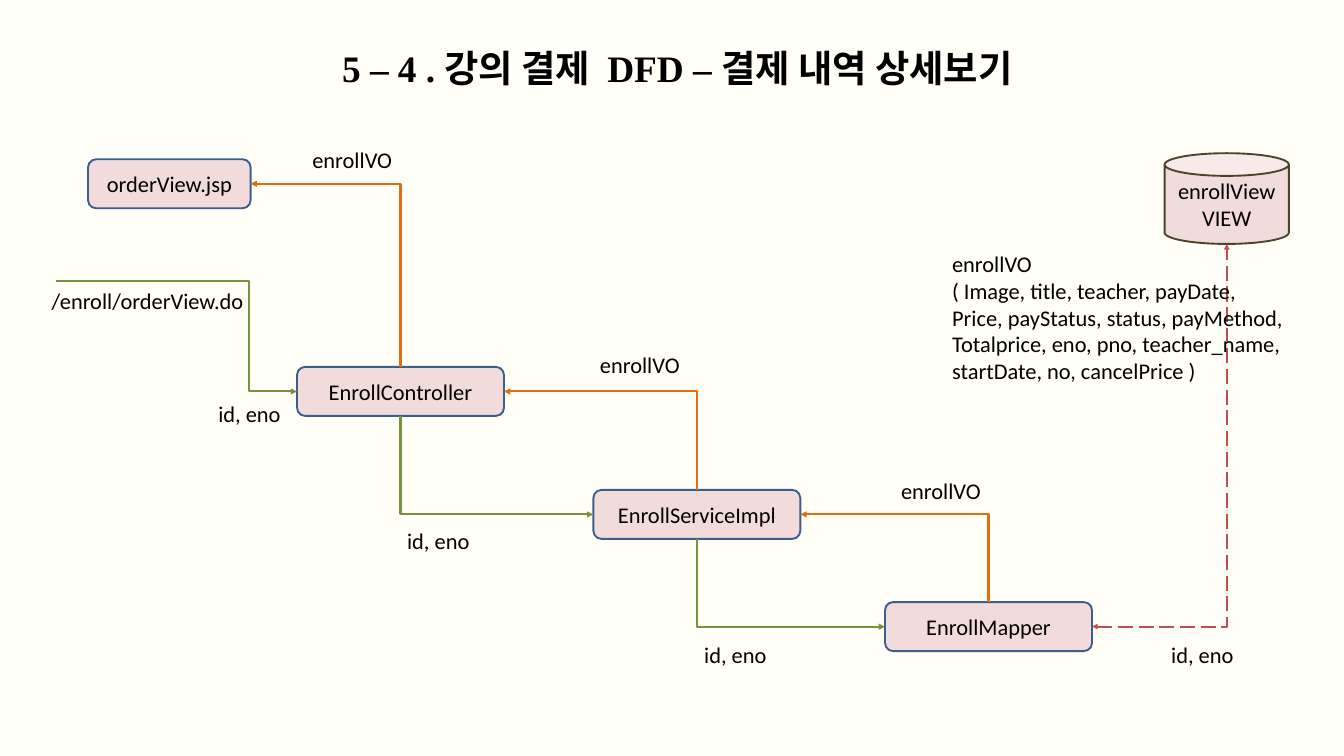
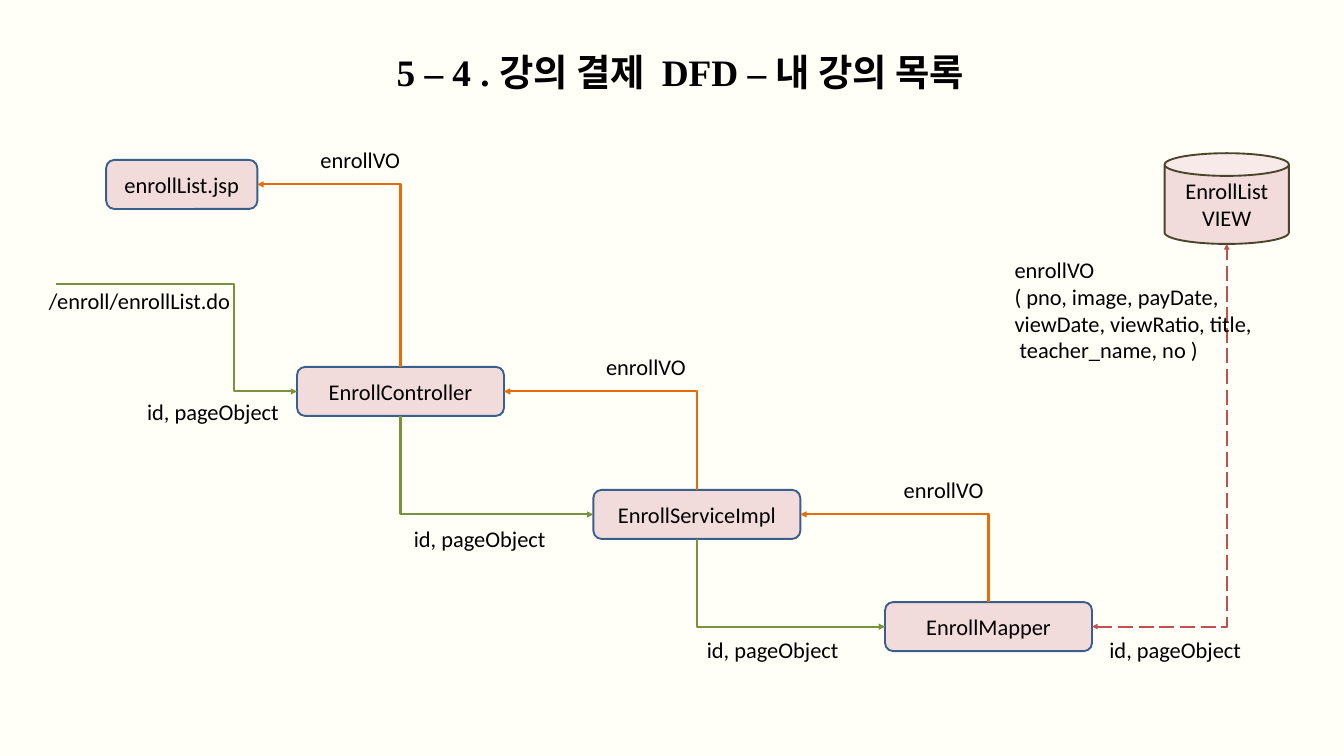
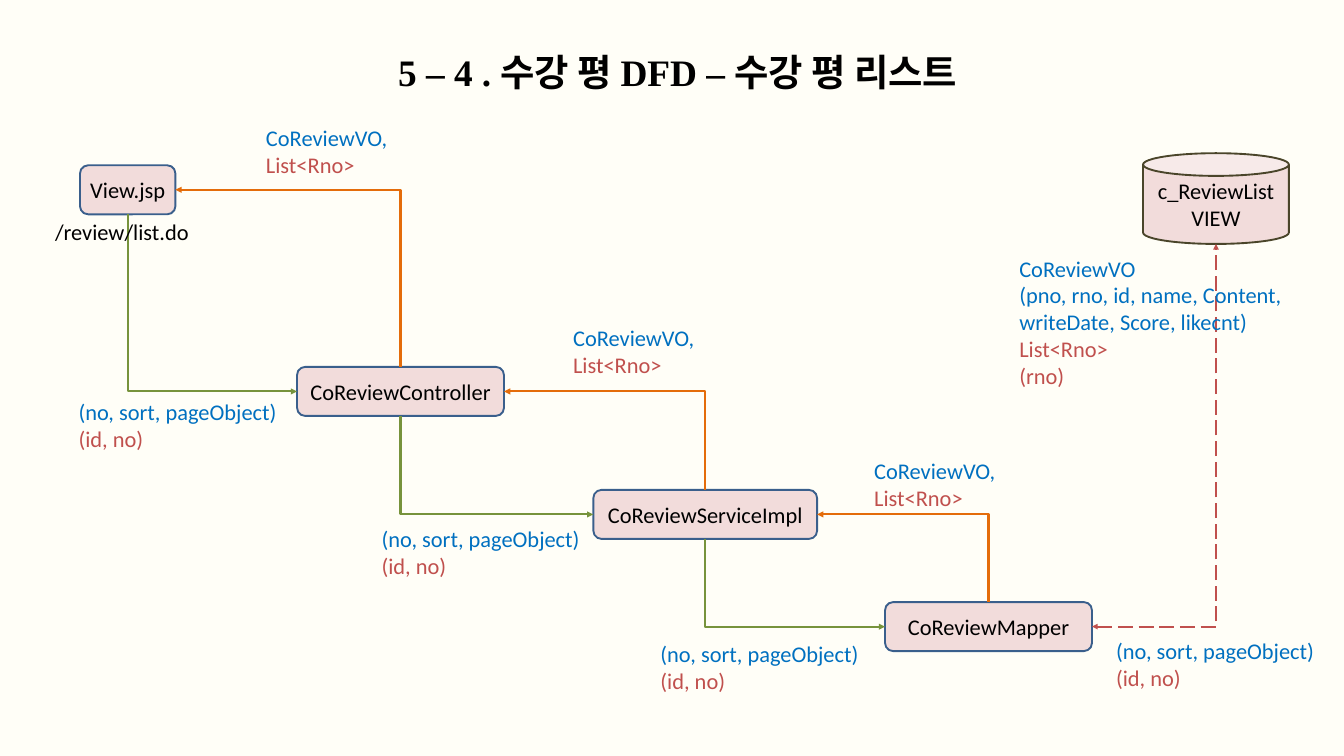
from pptx import Presentation
from pptx.dml.color import RGBColor
from pptx.enum.dml import MSO_LINE_DASH_STYLE as Dash
from pptx.enum.shapes import MSO_CONNECTOR as Connector, MSO_SHAPE as Preset
from pptx.enum.text import MSO_ANCHOR as Anchor, MSO_AUTO_SIZE as AutoSize, PP_ALIGN as Align
from pptx.oxml.ns import qn
from pptx.util import Inches, Pt

PAPER, PINK, NAVY, BROWN = "FFFEF7", "F2DCDB", "3A5F8C", "4A452A"
BLACK, BLUE, RED, GREEN, ORANGE = "000000", "0070C0", "C0504D", "77933C", "E46C0A"
TITLE_FONT = {"name": "Times New Roman", "size": Pt(40), "bold": True}
BODY_FONT = {"name": "Calibri", "size": Pt(24)}
TOP, LEFT, BOTTOM, RIGHT = range(4)
CAN_BOTTOM = 3
BOX_HEIGHT = 0.73

# Labels: each text is a list of (line, colour); places are (left, top, width).
ENROLL_RESULT = [("enrollVO", BLACK)]
REVIEW_RESULT = [("CoReviewVO,", BLUE), ("List<Rno>", RED)]

FLOWS = [
    {
        "title": ("5 – 4 . 강의 결제  DFD – 결제 내역 상세보기", 4.33, 0.62, 11.5),
        "view": ("orderView.jsp", 1.31, 2.37, 2.42),
        "layers": [("EnrollController", 3.08), ("EnrollServiceImpl", 3.08), ("EnrollMapper", 3.08)],
        "database": ("enrollView", 1.85),
        "entry": (0.83, 4.18, 0.8),
        "address": ("/enroll/orderView.do", 0.67, 4.23, 3.08),
        "arguments": [("id, eno", BLACK)],
        "argument_places": [(3.15, 5.9, 1.14), (5.96, 7.8, 1.14), (10.38, 9.49, 1.14), (17.33, 9.49, 1.14)],
        "result": ENROLL_RESULT,
        "result_places": [(4.55, 2.12, 1.4), (8.83, 5.17, 1.4), (13.31, 7.05, 1.4)],
        "fields": [
            ("enrollVO", BLACK),
            ("( Image, title, teacher, payDate,", BLACK),
            ("Price, payStatus, status, payMethod,", BLACK),
            ("Totalprice, eno, pno, teacher_name,", BLACK),
            ("startDate, no, cancelPrice )", BLACK),
        ],
        "fields_place": (14.07, 3.67, 5.17),
    },
    {
        "title": ("5 – 4 . 강의 결제  DFD – 내 강의 목록", 5.5, 0.68, 9.25),
        "view": ("enrollList.jsp", 1.58, 2.38, 2.25),
        "layers": [("EnrollController", 3.08), ("EnrollServiceImpl", 3.08), ("EnrollMapper", 3.08)],
        "database": ("EnrollList", 1.85),
        "entry": (0.83, 4.22, 0.74),
        "address": ("/enroll/enrollList.do", 0.63, 4.22, 2.92),
        "arguments": [("id, pageObject", BLACK)],
        "argument_places": [(2.09, 5.87, 2.18), (6.06, 7.77, 2.18), (10.42, 9.42, 2.18), (16.41, 9.42, 2.18)],
        "result": ENROLL_RESULT,
        "result_places": [(4.67, 2.12, 1.4), (8.92, 5.21, 1.4), (13.35, 7.04, 1.4)],
        "fields": [
            ("enrollVO", BLACK),
            ("( pno, image, payDate,", BLACK),
            ("viewDate, viewRatio, title,", BLACK),
            (" teacher_name, no )", BLACK),
        ],
        "fields_place": (15, 3.76, 3.77),
    },
    {
        "title": ("5 – 4 . 수강 평 DFD – 수강 평 리스트", 5.42, 0.68, 9.33),
        "view": ("View.jsp", 1.19, 2.46, 1.42),
        "layers": [("CoReviewController", 3.08), ("CoReviewServiceImpl", 3.33), ("CoReviewMapper", 3.08)],
        "database": ("c_ReviewList", 2.17),
        "entry": None,
        "address": ("/review/list.do", 0.72, 3.2, 2.21),
        "arguments": [("(no, sort, pageObject)", BLUE), ("(id, no)", RED)],
        "argument_places": [(1.07, 5.88, 3.18), (5.58, 7.77, 3.18), (9.73, 9.48, 3.18), (16.51, 9.43, 3.18)],
        "result": REVIEW_RESULT,
        "result_places": [(3.86, 1.8, 2.1), (8.43, 4.77, 2.1), (12.91, 6.75, 2.1)],
        "fields": [
            ("CoReviewVO", BLUE),
            ("(pno, rno, id, name, Content,", BLUE),
            ("writeDate, Score, likecnt)", BLUE),
            ("List<Rno>", RED),
            ("(rno)", RED),
        ],
        "fields_place": (15.07, 3.74, 4.1),
    },
]
LAYER_CORNERS = [(4.42, 5.46), (8.83, 7.29), (13.17, 8.96)]
DATABASE_RIGHT, DATABASE_TOP, DATABASE_HEIGHT = 19.18, 2.28, 1.35


def rgb(colour):
    return RGBColor.from_string(colour)


def write(frame, lines, font_format, align):
    for index, (line, colour) in enumerate(lines):
        paragraph = frame.add_paragraph() if index else frame.paragraphs[0]
        paragraph.alignment = align
        run = paragraph.add_run()
        run.text = line
        run.font.color.rgb = rgb(colour)
        for attribute, value in font_format.items():
            setattr(run.font, attribute, value)


def add_title(slide, text, left, top, width):
    title = slide.shapes.title
    place = {"left": left, "top": top, "width": width, "height": 0.77}
    for side, length in place.items():
        setattr(title, side, Inches(length))
    title.text_frame.vertical_anchor = Anchor.TOP
    write(title.text_frame, [(text, BLACK)], TITLE_FONT, Align.CENTER)


def add_label(slide, lines, left, top, width):
    height = 0.1 + 0.4 * len(lines)
    frame = slide.shapes.add_textbox(*map(Inches, (left, top, width, height))).text_frame
    frame.word_wrap = False
    frame.auto_size = AutoSize.SHAPE_TO_FIT_TEXT
    write(frame, lines, BODY_FONT, Align.LEFT)


def add_node(slide, preset, names, left, top, width, height=BOX_HEIGHT, outline=NAVY):
    node = slide.shapes.add_shape(preset, *map(Inches, (left, top, width, height)))
    node.shadow.inherit = False
    node.fill.solid()
    node.fill.fore_color.rgb = rgb(PINK)
    node.line.color.rgb = rgb(outline)
    node.line.width = Pt(2)
    node.text_frame.vertical_anchor = Anchor.MIDDLE
    write(node.text_frame, [(name, BLACK) for name in names], BODY_FONT, Align.CENTER)
    return node


def add_elbow(slide, colour, target, target_side, source=None, source_side=None,
              start=(0, 0), width=2.25, dash=None, ends=("tailEnd",)):
    """Join two node sides; without a source the elbow begins at start."""
    x, y = map(Inches, start)
    elbow = slide.shapes.add_connector(Connector.ELBOW, x, y, x, y)
    if source is not None:
        elbow.begin_connect(source, source_side)
    elbow.end_connect(target, target_side)
    elbow.line.color.rgb = rgb(colour)
    elbow.line.width = Pt(width)
    if dash:
        elbow.line.dash_style = dash
    properties = elbow._element.spPr
    outline = properties.find(qn("a:ln"))
    for end in ends:
        outline.append(outline.makeelement(qn(f"a:{end}"), {"type": "triangle"}))
    properties.append(properties.makeelement(qn("a:effectLst"), {}))
    return elbow


def geometry(elbow):
    return elbow._element.spPr.find(qn("a:prstGeom"))


def bend_once(elbow):
    geometry(elbow).set("prst", "bentConnector2")


def leave_vertically(elbow):
    """Turn a one-bend elbow so that its first leg is the vertical one."""
    bend_once(elbow)
    run, drop = elbow.end_x - elbow.begin_x, elbow.end_y - elbow.begin_y
    middle_x, middle_y = elbow.begin_x + run // 2, elbow.begin_y + drop // 2
    elbow.width, elbow.height = abs(drop), abs(run)
    elbow.left, elbow.top = middle_x - abs(drop) // 2, middle_y - abs(run) // 2
    elbow.rotation = 270
    frame = elbow._element.spPr.find(qn("a:xfrm"))
    frame.set("flipH", str(int(drop > 0)))
    frame.set("flipV", str(int(run < 0)))


def set_bend(elbow, share):
    guides = geometry(elbow).get_or_add_avLst()
    guide = {"name": "adj1", "fmla": f"val {round(share * 100000)}"}
    guides.append(guides.makeelement(qn("a:gd"), guide))


def add_flow(slide, flow):
    add_title(slide, *flow["title"])

    table, width = flow["database"]
    database = add_node(slide, Preset.CAN, [table, "VIEW"], DATABASE_RIGHT - width,
                        DATABASE_TOP, width, DATABASE_HEIGHT, BROWN)
    page, *place = flow["view"]
    view = add_node(slide, Preset.ROUNDED_RECTANGLE, [page], *place)
    layers = [add_node(slide, Preset.ROUNDED_RECTANGLE, [name], *corner, width)
              for (name, width), corner in zip(flow["layers"], LAYER_CORNERS)]
    controller, mapper = layers[0], layers[-1]

    query = add_elbow(slide, RED, database, BOTTOM, mapper, RIGHT, width=2,
                      dash=Dash.LONG_DASH, ends=("headEnd", "tailEnd"))
    bend_once(query)
    query._element.nvCxnSpPr.cNvCxnSpPr.endCxn.idx = CAN_BOTTOM

    if flow["entry"]:
        *start, share = flow["entry"]
        set_bend(add_elbow(slide, GREEN, controller, LEFT, start=start), share)
    else:
        leave_vertically(add_elbow(slide, GREEN, controller, LEFT, view, BOTTOM))
    for caller, callee in zip(layers, layers[1:]):
        leave_vertically(add_elbow(slide, GREEN, callee, LEFT, caller, BOTTOM))
    for receiver, sender in zip([view] + layers, layers):
        leave_vertically(add_elbow(slide, ORANGE, receiver, RIGHT, sender, TOP))

    address, *place = flow["address"]
    add_label(slide, [(address, BLACK)], *place)
    add_label(slide, flow["fields"], *flow["fields_place"])
    for part in ("argument", "result"):
        lines = flow["arguments"] if part == "argument" else flow["result"]
        for place in flow[f"{part}_places"]:
            add_label(slide, lines, *place)


def main():
    deck = Presentation()
    deck.slide_width, deck.slide_height = Inches(20), Inches(11.25)
    paper = deck.slide_master.background.fill
    paper.solid()
    paper.fore_color.rgb = rgb(PAPER)
    title_only = deck.slide_layouts[5]
    for flow in FLOWS:
        add_flow(deck.slides.add_slide(title_only), flow)
    deck.save("out.pptx")


if __name__ == "__main__":
    main()
